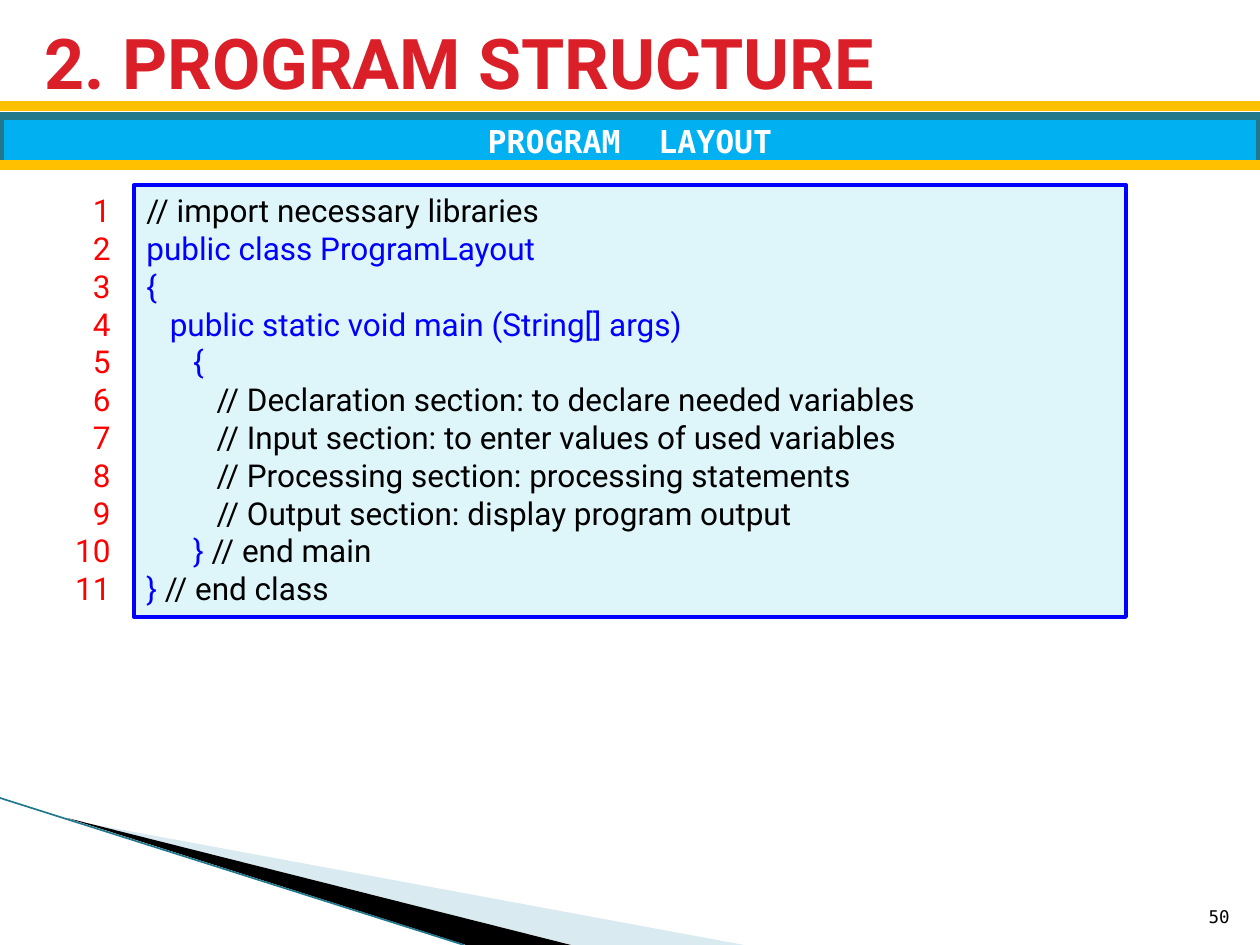
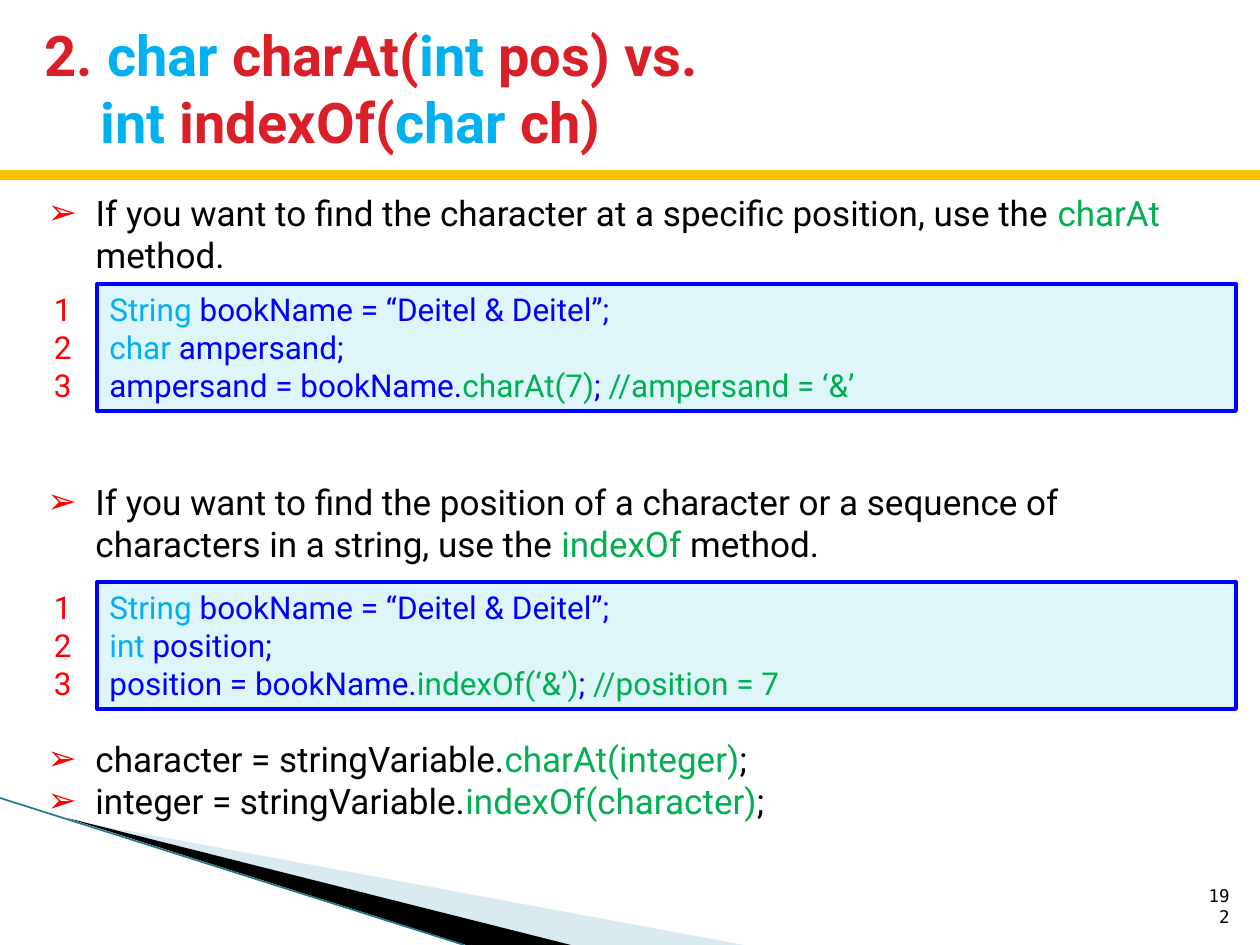
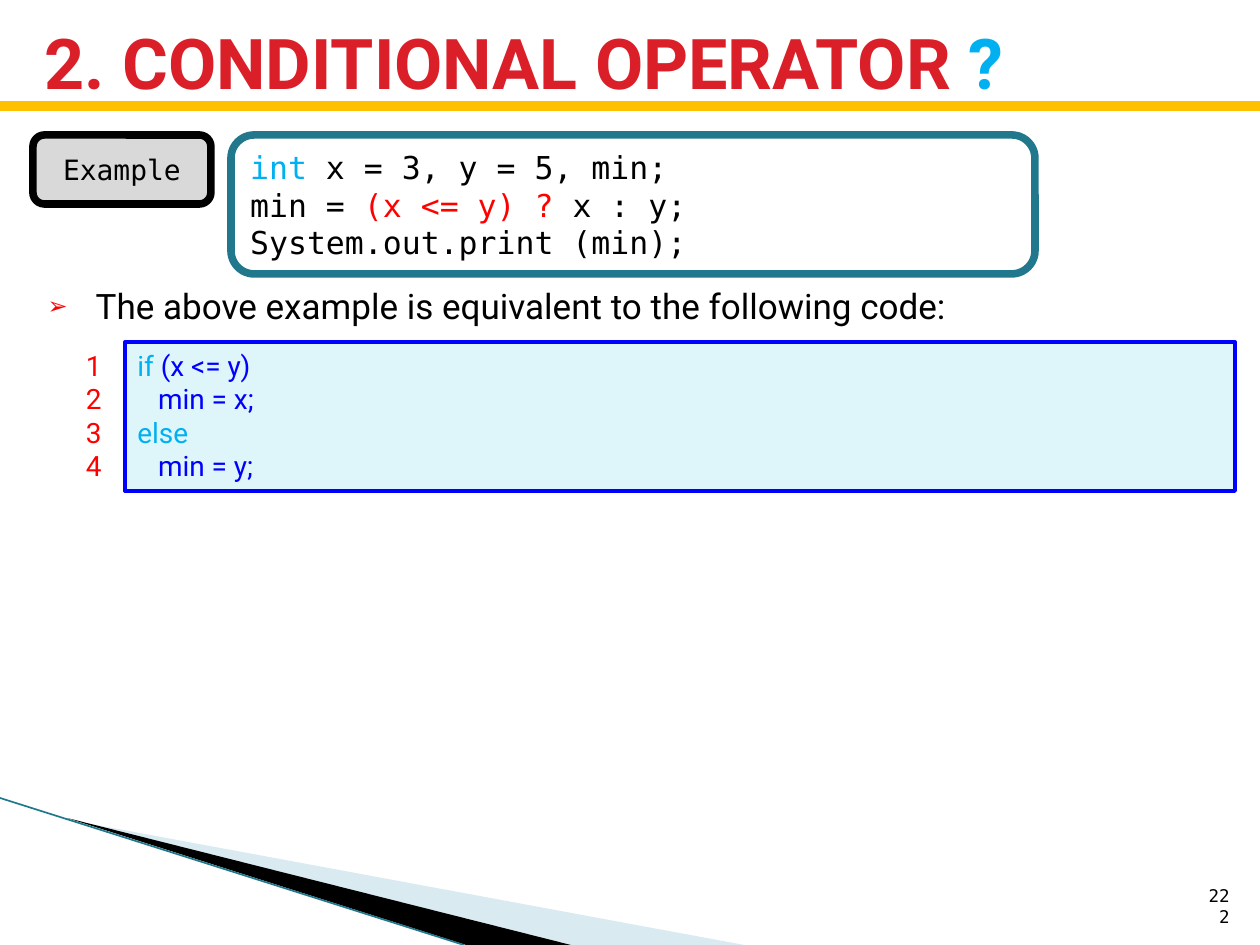
from lxml import etree
from pptx import Presentation
from pptx.dml.color import RGBColor
from pptx.enum.shapes import MSO_CONNECTOR, MSO_SHAPE
from pptx.enum.text import MSO_ANCHOR, MSO_AUTO_SIZE, PP_ALIGN
from pptx.oxml.ns import qn
from pptx.util import Emu, Pt

RECT, ROUNDED = MSO_SHAPE.RECTANGLE, MSO_SHAPE.ROUNDED_RECTANGLE
STRAIGHT = MSO_CONNECTOR.STRAIGHT
TOP, MIDDLE, BOTTOM = MSO_ANCHOR.TOP, MSO_ANCHOR.MIDDLE, MSO_ANCHOR.BOTTOM
LEFT, CENTER, RIGHT = PP_ALIGN.LEFT, PP_ALIGN.CENTER, PP_ALIGN.RIGHT
NO_FIT = MSO_AUTO_SIZE.NONE

EMU_PER_PX = 914400 / 126
WIDTH, HEIGHT = 1260, 945
SANS, MONO = "Roboto", "DejaVu Sans Mono"
TITLE_ONLY, TITLE_AND_BODY = 5, 1
BULLET_INDENT = 48
COLOURS = {
    "title": "DA1F28",
    "sky": "00B0F0",
    "gold": "FFC000",
    "teal": "21788D",
    "mist": "A0CBDC",
    "code fill": "DEF5FA",
    "blue": "0000FF",
    "green": "00B050",
    "red": "FF0000",
    "black": "000000",
    "white": "FFFFFF",
    "grey": "D9D9D9",
}


def px(length):
    return Emu(round(length * EMU_PER_PX))


def rgb(colour):
    return RGBColor.from_string(COLOURS[colour])


def place(box, left, top, width, height):
    box.left, box.top, box.width, box.height = map(px, (left, top, width, height))


def write(box, lines, size, font=SANS, bold=False, align=LEFT, anchor=TOP):
    """Fill a box with lines, each a list of (text, colour) spans."""
    frame = box.text_frame
    frame.word_wrap = True
    frame.auto_size = NO_FIT
    frame.vertical_anchor = anchor
    for index, spans in enumerate(lines):
        para = frame.add_paragraph() if index else frame.paragraphs[0]
        para.alignment = align
        para.space_before = Pt(0)
        para.font.size = Pt(size)
        para.font.name = font
        para.font.bold = bold
        for text, colour in spans:
            span = para.add_run()
            span.text = text
            span.font.color.rgb = rgb(colour)


def add_box(shapes, kind, bounds, fill, line, line_width):
    box = shapes.add_shape(kind, *map(px, bounds))
    box.shadow.inherit = False
    box.fill.solid()
    box.fill.fore_color.rgb = rgb(fill)
    box.line.color.rgb = rgb(line)
    box.line.width = Pt(line_width)
    return box


def add_text(shapes, bounds, lines, size, **style):
    box = shapes.add_textbox(*map(px, bounds))
    write(box, lines, size, **style)
    return box


def add_line(page, start, end, colour, width):
    line = page.shapes.add_connector(STRAIGHT, *map(px, start + end))
    line.line.color.rgb = rgb(colour)
    line.line.width = Pt(width)
    etree.SubElement(line._element.spPr, qn("a:effectLst"))


def add_gold_rule(page, y):
    add_line(page, (0, y), (WIDTH, y), "gold", 6)


def add_wedge(page, points, colour, opacity=100):
    builder = page.shapes.build_freeform(*points[0], scale=EMU_PER_PX)
    builder.add_line_segments(points[1:], close=True)
    wedge = builder.convert_to_shape()
    wedge.shadow.inherit = False
    wedge.fill.solid()
    wedge.fill.fore_color.rgb = rgb(colour)
    wedge.line.fill.background()
    if opacity < 100:
        fill = wedge._element.spPr.find(qn("a:solidFill"))
        etree.SubElement(fill[0], qn("a:alpha"), val=str(opacity * 1000))


def add_page(deck, layout, title, title_size, title_height, rule_y, number):
    """Add a slide with the title, gold rule, corner wedges and page number."""
    page = deck.slides.add_slide(deck.slide_layouts[layout])
    place(page.shapes.title, 32, 21, 1193, title_height)
    write(page.shapes.title, title, title_size, bold=True, anchor=MIDDLE)
    add_wedge(page, [(69, 820), (744, HEIGHT), (572, HEIGHT)], "mist", 40)
    add_wedge(page, [(67, 818), (571, HEIGHT), (466, HEIGHT)], "black")
    add_line(page, (0, 798), (464, HEIGHT), "teal", 0.95)
    add_gold_rule(page, rule_y)
    add_text(page.shapes, (1192, 883, 50, 50), [[(number, "black")]], 10,
             font=MONO, align=RIGHT, anchor=BOTTOM)
    return page


def add_code(page, bounds, number_left, number_width, lines, size=18):
    """Add a framed listing with its line numbers in a column on the left."""
    group = page.shapes.add_group_shape()
    frame = add_box(group.shapes, RECT, bounds, "code fill", "blue", 2.25)
    write(frame, lines, size)
    numbers = [[(str(number), "red")] for number in range(1, len(lines) + 1)]
    add_text(group.shapes, (number_left, bounds[1], number_width, bounds[3]),
             numbers, size, align=RIGHT)


def add_bullet(para, percent):
    props = para._p.get_or_add_pPr()
    props.set("marL", str(px(BULLET_INDENT)))
    props.set("indent", str(-px(BULLET_INDENT)))
    colour = etree.SubElement(props, qn("a:buClr"))
    etree.SubElement(colour, qn("a:srgbClr"), val=COLOURS["red"])
    etree.SubElement(props, qn("a:buSzPct"), val=str(percent * 1000))
    etree.SubElement(props, qn("a:buFont"), typeface="Arial")
    etree.SubElement(props, qn("a:buChar"), char="➢")


def write_list(box, top, height, items, percent=100):
    place(box, 35, top, 1191, height)
    paras = box.text_frame.paragraphs
    paras += tuple(box.text_frame.add_paragraph() for _ in items[1:])
    for para in paras:
        add_bullet(para, percent)
    frame = box.text_frame
    frame.word_wrap = True
    frame.auto_size = NO_FIT
    frame.vertical_anchor = TOP
    for para, spans in zip(paras, items):
        para.space_before = Pt(0)
        para.font.size = Pt(20)
        para.font.name = SANS
        for text, colour in spans:
            span = para.add_run()
            span.text = text
            span.font.color.rgb = rgb(colour)


def add_list(page, top, height, items):
    write_list(page.shapes.add_textbox(0, 0, 0, 0), top, height, items)


def build_program_structure(deck):
    page = add_page(deck, TITLE_ONLY, [[("2. PROGRAM STRUCTURE", "title")]],
                    40, 82, 106, "50")
    add_code(page, (134, 185, 992, 432), 44, 79, [
        [("// import necessary libraries", "black")],
        [("public class ProgramLayout", "blue")],
        [("{", "blue")],
        [("   public static void main (String[] args)", "blue")],
        [("      {", "blue")],
        [("         // Declaration section: to declare needed variables", "black")],
        [("         // Input section: to enter values of used variables", "black")],
        [("         // Processing section: processing statements", "black")],
        [("         // Output section: display program output", "black")],
        [("      } ", "blue"), ("// end main", "black")],
        [("} ", "blue"), ("// end class", "black")],
    ])
    band = add_box(page.shapes, RECT, (0, 116, WIDTH, 49), "sky", "teal", 4.33)
    write(band, [[("PROGRAM  LAYOUT", "white")]], 18, font=MONO, bold=True,
          align=CENTER, anchor=MIDDLE)
    add_gold_rule(page, 165)


def build_char_at(deck):
    title = [
        [("2. ", "title"), ("char ", "sky"), ("charAt(", "title"),
         ("int ", "sky"), ("pos) vs.", "title")],
        [("int ", "sky"), ("indexOf(", "title"), ("char ", "sky"), ("ch)", "title")],
    ]
    page = add_page(deck, TITLE_AND_BODY, title, 32, 134, 175, "192")
    second_line = page.shapes.title.text_frame.paragraphs[1]
    second_line._p.get_or_add_pPr().set("marL", str(px(56)))

    write_list(page.placeholders[1], 185, 97, [
        [("If you want to find the character at a specific position, use the ", "black"),
         ("charAt ", "green"), ("method.", "black")],
    ])
    add_list(page, 474, 97, [
        [("If you want to find the position of a character or a sequence of "
          "characters in a string, use the ", "black"),
         ("indexOf", "green"), (" method.", "black")],
    ])
    add_list(page, 731, 97, [
        [(f"{result} = stringVariable.", "black"), (call, "green"), (";", "black")]
        for result, call in (("character", "charAt(integer)"),
                             ("integer", "indexOf(character)"))
    ])
    examples = (
        (284, "char", "ampersand", "charAt(7)", "‘&’"),
        (582, "int", "position", "indexOf(‘&’)", "7"),
    )
    for top, kind, variable, call, value in examples:
        add_code(page, (97, top, 1139, 127), 25, 59, [
            [("String ", "sky"), ("bookName = “Deitel & Deitel”;", "blue")],
            [(kind, "sky"), (f" {variable};", "blue")],
            [(f"{variable} = bookName.", "blue"), (call, "green"), ("; ", "blue"),
             (f"//{variable} = {value}", "green")],
        ])


def build_conditional_operator(deck):
    title = [[("2. CONDITIONAL OPERATOR ", "title"), ("?", "sky")]]
    page = add_page(deck, TITLE_AND_BODY, title, 40, 82, 106, "222")
    add_code(page, (125, 342, 1110, 149), 25, 89, [
        [("if", "sky"), (" (x <= y)", "blue")],
        [("   min = x;", "blue")],
        [("else", "sky")],
        [("   min = y;", "blue")],
    ], size=16)
    label = add_box(page.shapes, ROUNDED, (33, 135, 178, 69), "grey", "black", 4.33)
    write(label, [[("Example", "black")]], 16, font=MONO, align=CENTER, anchor=MIDDLE)
    example = add_box(page.shapes, ROUNDED, (231, 135, 804, 139), "white", "teal", 4.33)
    write(example, [
        [("int", "sky"), (" x = 3, y = 5, min;", "black")],
        [("min = ", "black"), ("(x <= y) ?", "red"), (" x : y;", "black")],
        [("System.out.print (min);", "black")],
    ], 18, font=MONO, anchor=MIDDLE)
    body = page.placeholders[1]
    write_list(body, 283, 58, [
        [("The above example is equivalent to the following code:", "black")],
    ], percent=68)
    body.text_frame.paragraphs[0].line_spacing = 0.9


def main():
    deck = Presentation()
    deck.slide_width, deck.slide_height = px(WIDTH), px(HEIGHT)
    build_program_structure(deck)
    build_char_at(deck)
    build_conditional_operator(deck)
    deck.save("out.pptx")


if __name__ == "__main__":
    main()
